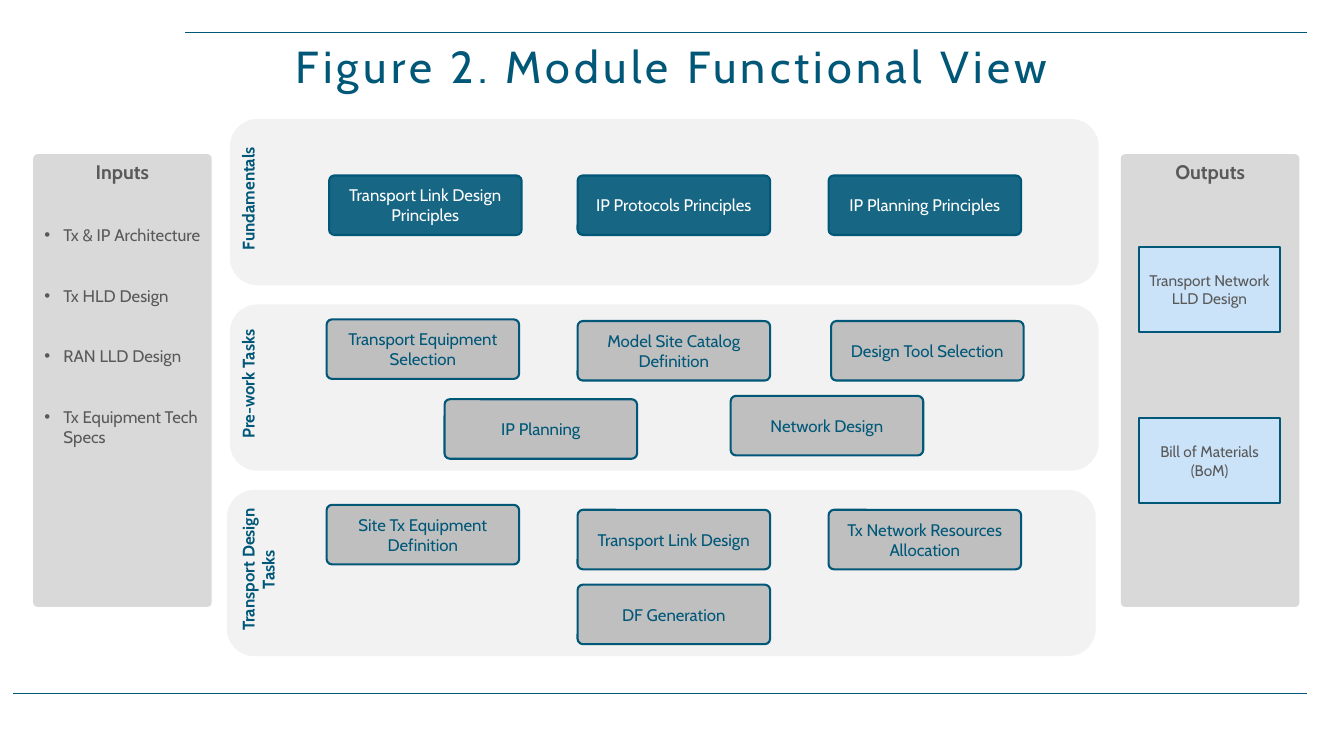
from lxml import etree
from pptx import Presentation, util as u
from pptx.dml.color import RGBColor
from pptx.enum import shapes, text
from pptx.oxml import ns

# Grid: ten columns and ten rows to the inch
CELL = u.Inches(0.1)
COLUMNS, ROWS = 133.33, 75

TEAL = RGBColor(0x00, 0x57, 0x78)
WHITE = RGBColor(0xFF, 0xFF, 0xFF)
BAND_GREY = RGBColor(0xF2, 0xF2, 0xF2)
PANEL_GREY = RGBColor(0xD9, 0xD9, 0xD9)
TASK_GREY = RGBColor(0xBF, 0xBF, 0xBF)
TEXT_GREY = RGBColor(0x59, 0x59, 0x59)
PALE_BLUE = RGBColor(0xCB, 0xE3, 0xF9)
FONT = "Cabin"

BAND_LEFT, BAND_TOP, BAND_WIDTH, BAND_HEIGHT = 22.8, 11.8, 86.2, 16.5
BAND_PITCH = 18.4
TASK_LEFT, TASK_PITCH, TASK_WIDTH, TASK_HEIGHT = 32.4, 24.9, 19.1, 5.9
PANEL_TOP, PANEL_WIDTH, PANEL_HEIGHT = 15.3, 17.7, 44.9

# Each band: label, label width, left shift, boxes as (text, task column, share of band height)
BANDS = [
    ("Fundamentals", 4, 0, [
        ("Transport Link Design Principles", 0.01, 0.34),
        ("IP Protocols Principles", 1, 0.34),
        ("IP Planning Principles", 2, 0.34)]),
    ("Pre-work Tasks", 4, 0, [
        ("Transport Equipment Selection", 0, 0.09),
        ("Model Site Catalog Definition", 1, 0.1),
        ("Design Tool Selection", 2.01, 0.1),
        ("IP Planning", 0.47, 0.57),
        ("Network Design", 1.61, 0.55)]),
    ("Transport Design Tasks", 6.1, -0.3, [
        ("Site Tx Equipment Definition", 0, 0.09),
        ("Transport Link Design", 1, 0.12),
        ("Tx Network Resources Allocation", 2, 0.12),
        ("DF Generation", 1, 0.57)]),
]
INPUTS = ["Tx & IP Architecture", "Tx HLD Design", "RAN LLD Design",
          "Tx Equipment Tech Specs"]
OUTPUTS = [("Transport Network LLD Design", 24.5), ("Bill of Materials (BoM)", 41.5)]


def cells(*counts):
    return [round(count * CELL) for count in counts]


def add_text(paragraph, words, size, color, bold=False, align=text.PP_ALIGN.CENTER):
    paragraph.alignment = align
    run = paragraph.add_run()
    run.text = words
    run.font.name, run.font.size, run.font.bold = FONT, u.Pt(size), bold
    run.font.color.rgb = color
    return run


def add_box(slide, place, fill, line=None, corner=None):
    kind = shapes.MSO_SHAPE
    shape = slide.shapes.add_shape(
        kind.RECTANGLE if corner is None else kind.ROUNDED_RECTANGLE, *cells(*place))
    if corner is not None:
        shape.adjustments[0] = corner
    shape.shadow.inherit = False
    shape.fill.solid()
    shape.fill.fore_color.rgb = fill
    if line is None:
        shape.line.fill.background()
    else:
        shape.line.color.rgb = line
        shape.line.width = u.Pt(1.5)
    shape.text_frame.word_wrap = True
    return shape


def set_opacity(shape, percent):
    color = shape.fill._xPr.find(ns.qn("a:solidFill"))[0]
    etree.SubElement(color, ns.qn("a:alpha")).set("val", str(percent * 1000))


def add_rule(slide, left, right, row):
    rule = slide.shapes.add_connector(
        shapes.MSO_CONNECTOR.STRAIGHT, *cells(left, row, right, row))
    rule.line.color.rgb = TEAL
    rule.line.width = u.Pt(1)
    etree.SubElement(rule._element.spPr, ns.qn("a:effectLst"))


def add_title(slide, words):
    title = slide.shapes.title
    title.left, title.top, title.width, title.height = cells(0, 3.6, COLUMNS, 6)
    frame = title.text_frame
    frame.vertical_anchor = text.MSO_ANCHOR.BOTTOM
    frame.auto_size = text.MSO_AUTO_SIZE.NONE
    paragraph = frame.paragraphs[0]
    paragraph.line_spacing = 0.8
    run = add_text(paragraph, words, 32, TEAL)
    run._r.get_or_add_rPr().set("spc", "300")


def add_band_label(slide, words, top, width):
    box = slide.shapes.add_textbox(*cells(23.1, top - 1, width, 17.8))
    frame = box.text_frame
    frame.word_wrap = True
    frame._txBody.bodyPr.set("vert", "vert270")
    add_text(frame.paragraphs[0], words, 12, TEAL, bold=True)


def add_task(slide, words, left, top, is_principle):
    shape = add_box(slide, (left, top, TASK_WIDTH, TASK_HEIGHT),
                    TEAL if is_principle else TASK_GREY, TEAL, 0.09)
    if is_principle:
        set_opacity(shape, 90)
    frame = shape.text_frame
    frame.vertical_anchor = text.MSO_ANCHOR.MIDDLE
    frame.margin_left = frame.margin_right = u.Inches(0.08)
    add_text(frame.paragraphs[0], words, 12, WHITE if is_principle else TEAL)


def add_panel(slide, heading, left):
    panel = add_box(slide, (left, PANEL_TOP, PANEL_WIDTH, PANEL_HEIGHT),
                    PANEL_GREY, corner=0.023)
    panel.text_frame.vertical_anchor = text.MSO_ANCHOR.TOP
    add_text(panel.text_frame.paragraphs[0], heading, 14, TEXT_GREY, bold=True)
    return panel


def add_bullet(frame, words):
    paragraph = frame.add_paragraph()
    paragraph.space_before = u.Pt(29)
    add_text(paragraph, words, 12, TEXT_GREY, align=text.PP_ALIGN.LEFT)
    properties = paragraph._p.get_or_add_pPr()
    indent = u.Inches(0.19)
    properties.set("marL", str(indent))
    properties.set("indent", str(-indent))
    etree.SubElement(properties, ns.qn("a:buFont")).set("typeface", "Arial")
    etree.SubElement(properties, ns.qn("a:buChar")).set("char", "•")


def main():
    presentation = Presentation()
    presentation.slide_width, presentation.slide_height = cells(COLUMNS, ROWS)
    slide = presentation.slides.add_slide(presentation.slide_layouts[5])

    # Rules and title
    add_rule(slide, 18.4, 129.7, 3.2)
    add_rule(slide, 1.3, 129.7, 68.8)
    add_title(slide, "Figure 2. Module Functional View")

    # Bands with their task boxes
    for index, (label, label_width, shift, tasks) in enumerate(BANDS):
        top = BAND_TOP + index * BAND_PITCH
        add_box(slide, (BAND_LEFT + shift, top, BAND_WIDTH, BAND_HEIGHT),
                BAND_GREY, corner=0.167)
        add_band_label(slide, label, top, label_width)
        for words, column, share in tasks:
            add_task(slide, words, TASK_LEFT + column * TASK_PITCH,
                     top + share * BAND_HEIGHT, is_principle=index == 0)

    # Inputs
    inputs = add_panel(slide, "Inputs", 3.3)
    for words in INPUTS:
        add_bullet(inputs.text_frame, words)

    # Outputs
    add_panel(slide, "Outputs", 111.2)
    for words, top in OUTPUTS:
        output = add_box(slide, (113, top, 14, 8.4), PALE_BLUE, TEAL)
        output.text_frame.vertical_anchor = text.MSO_ANCHOR.MIDDLE
        add_text(output.text_frame.paragraphs[0], words, 11, TEXT_GREY)

    presentation.save("out.pptx")


if __name__ == "__main__":
    main()
